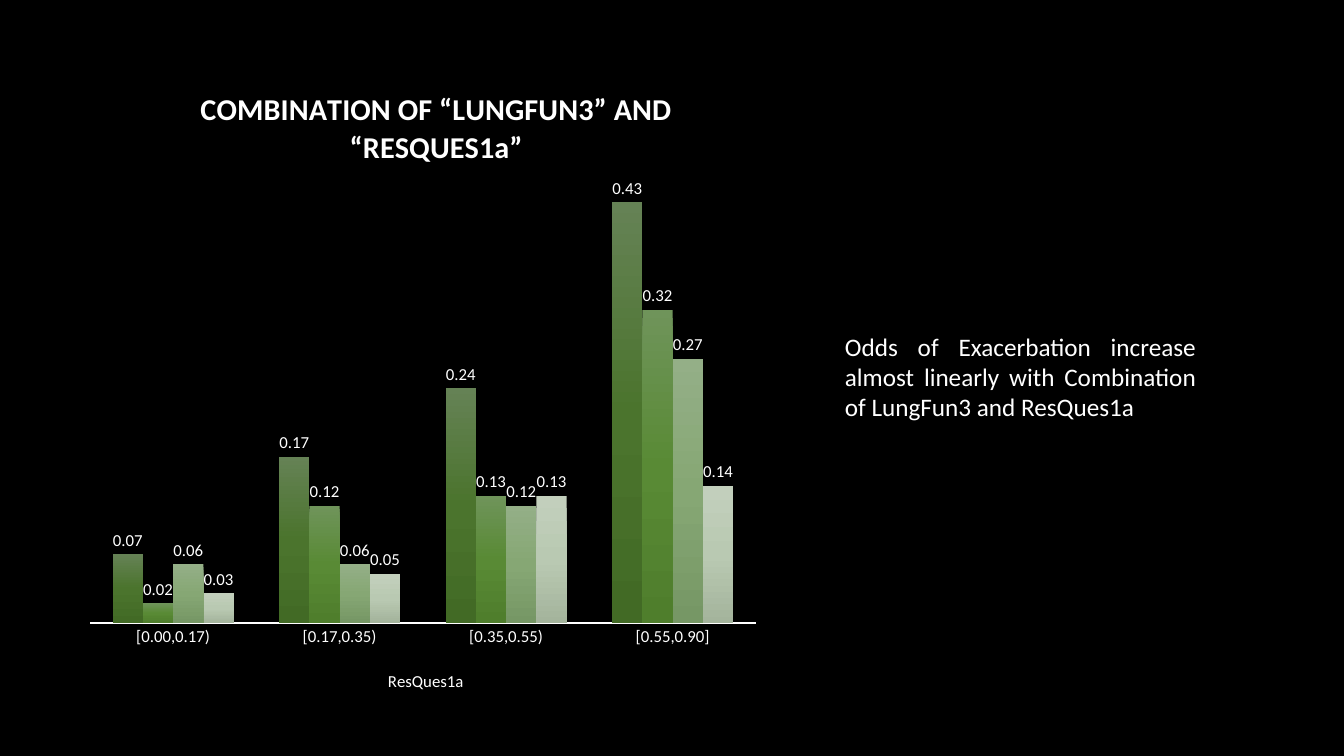
import pptx
import pptx.chart.data
import pptx.dml.color
import pptx.enum.chart
import pptx.enum.text
import pptx.oxml
import pptx.oxml.ns
import pptx.util

RGBColor = pptx.dml.color.RGBColor
BLACK = RGBColor(0, 0, 0)
WHITE = RGBColor(255, 255, 255)
GREENS = [
    (RGBColor(0x65, 0x82, 0x55), RGBColor(0x4B, 0x74, 0x2D), RGBColor(0x42, 0x6A, 0x25)),
    (RGBColor(0x6F, 0x94, 0x5A), RGBColor(0x59, 0x8A, 0x35), RGBColor(0x4F, 0x7E, 0x2C)),
    (RGBColor(0x94, 0xAF, 0x87), RGBColor(0x86, 0xA7, 0x74), RGBColor(0x76, 0x97, 0x65)),
    (RGBColor(0xC2, 0xCF, 0xBC), RGBColor(0xB9, 0xC9, 0xB2), RGBColor(0xA4, 0xB4, 0x9C)),
]
RANGES = ["[0.00,0.17)", "[0.17,0.35)", "[0.35,0.55)", "[0.55,0.90]"]
ODDS = [
    (0.07, 0.17, 0.24, 0.43),
    (0.02, 0.12, 0.13, 0.32),
    (0.06, 0.06, 0.12, 0.27),
    (0.03, 0.05, 0.13, 0.14),
]
EMU_PER_PX = 914400 / 100.8


def px(length):
    return round(length * EMU_PER_PX)


class OddsSlide:
    font_name = "Calibri"

    def __init__(self, deck):
        self.slide = deck.slides.add_slide(deck.slide_layouts[6])
        self.slide.background.fill.solid()
        self.slide.background.fill.fore_color.rgb = BLACK

    def style(self, font, size, bold=False):
        font.name = self.font_name
        font.size = pptx.util.Pt(size)
        font.bold = bold
        font.color.rgb = WHITE

    def note(self, text, left, top, width, height):
        frame = self.slide.shapes.add_textbox(px(left), px(top), px(width), px(height)).text_frame
        frame.word_wrap = True
        finding = frame.paragraphs[0]
        finding.text = text
        finding.alignment = pptx.enum.text.PP_ALIGN.JUSTIFY
        self.style(finding.font, 18)

    def heading(self, owner, text, size, bold=False):
        frame = owner.text_frame
        frame.text = text
        self.style(frame.paragraphs[0].font, size, bold)

    def place(self, element, bounds, frame, inner=False):
        for old in element.findall(pptx.oxml.ns.qn("c:layout")):
            element.remove(old)
        left, top, width, height = frame
        fractions = {"x": (bounds[0] - left) / width, "y": (bounds[1] - top) / height}
        if inner:
            fractions.update(w=bounds[2] / width, h=bounds[3] / height)
        target = '<c:layoutTarget val="inner"/>' if inner else ""
        modes = "".join(f'<c:{key}Mode val="edge"/>' for key in "xy")
        values = "".join(f'<c:{key} val="{value:.4f}"/>' for key, value in fractions.items())
        layout = pptx.oxml.parse_xml(
            f'<c:layout {pptx.oxml.ns.nsdecls("c")}><c:manualLayout>'
            f"{target}{modes}{values}</c:manualLayout></c:layout>")
        text = element.find(pptx.oxml.ns.qn("c:tx"))
        if text is None:
            element.insert(0, layout)
        else:
            text.addnext(layout)

    def gradient(self, series, shades):
        series.format.fill.gradient()
        series.format.fill.gradient_angle = 270
        stops = next(series.format.fill._xPr.iter(pptx.oxml.ns.qn("a:gsLst")))
        for stop in list(stops):
            stops.remove(stop)
        for position, shade in zip((0, 50000, 100000), shades):
            stops.append(pptx.oxml.parse_xml(
                f'<a:gs {pptx.oxml.ns.nsdecls("a")} pos="{position}"><a:srgbClr val="{shade}"/></a:gs>'))

    def column_chart(self, title, axis_title, left, top, width, height):
        frame = (left, top, width, height)
        data = pptx.chart.data.CategoryChartData(number_format="#,##0.00")
        data.categories = RANGES
        for number, odds in enumerate(ODDS, 1):
            data.add_series(f"Series {number}", odds)
        chart = self.slide.shapes.add_chart(
            pptx.enum.chart.XL_CHART_TYPE.COLUMN_CLUSTERED, *map(px, frame), data).chart
        self.style(chart.font, 10)
        chart.has_legend = False
        self.heading(chart.chart_title, title, 21.6, True)
        self.place(chart.chart_title._element, (195, 82), frame)

        ranges = chart.category_axis
        ranges.major_tick_mark = pptx.enum.chart.XL_TICK_MARK.NONE
        ranges.format.line.color.rgb = WHITE
        ranges.format.line.width = pptx.util.Pt(1)
        self.style(ranges.tick_labels.font, 12)
        self.heading(ranges.axis_title, axis_title, 12)
        self.place(ranges.axis_title._element, (385, 667), frame)

        scale = chart.value_axis
        scale.visible = False
        scale.has_major_gridlines = False
        scale.minimum_scale = 0
        scale.maximum_scale = 0.45

        plot = chart.plots[0]
        plot.gap_width = 150
        plot.overlap = 0
        plot.vary_by_categories = False
        self.place(chart._chartSpace.chart.plotArea, (90, 183, 666, 440), frame, inner=True)
        for series, shades in zip(plot.series, GREENS):
            self.gradient(series, shades)
            labels = series.data_labels
            labels.show_value = True
            labels.number_format = "#,##0.00"
            labels.number_format_is_linked = False
            labels.position = pptx.enum.chart.XL_LABEL_POSITION.OUTSIDE_END
            self.style(labels.font, 12)


def main():
    deck = pptx.Presentation()
    deck.slide_width = px(1344)
    deck.slide_height = px(756)
    page = OddsSlide(deck)
    page.note("Odds of Exacerbation increase almost linearly with Combination "
              "of LungFun3 and ResQues1a", 835, 326, 371, 102)
    page.column_chart("COMBINATION OF “LUNGFUN3” AND “RESQUES1a”", "ResQues1a", 77, 55, 693, 652)
    deck.save("out.pptx")


if __name__ == "__main__":
    main()
